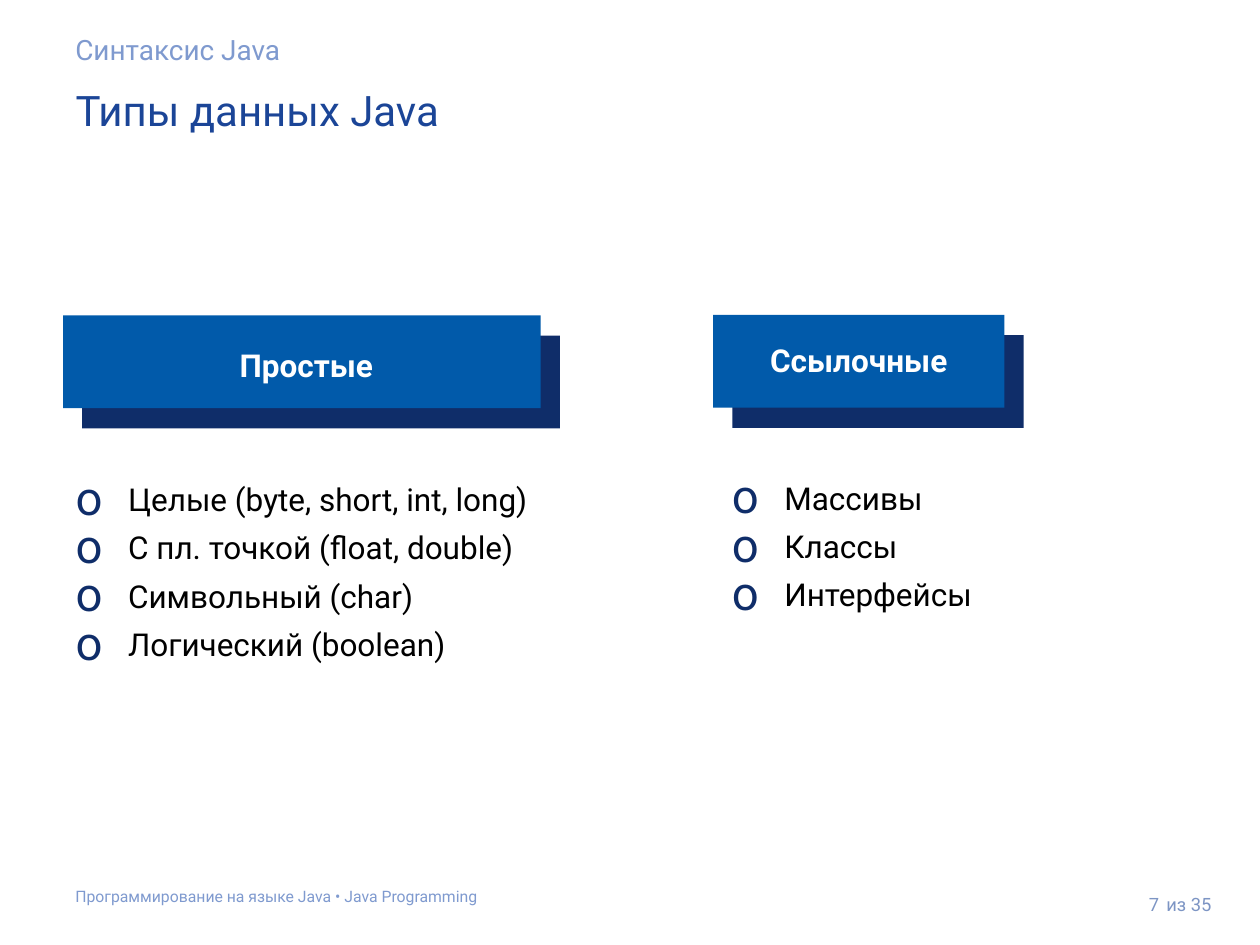
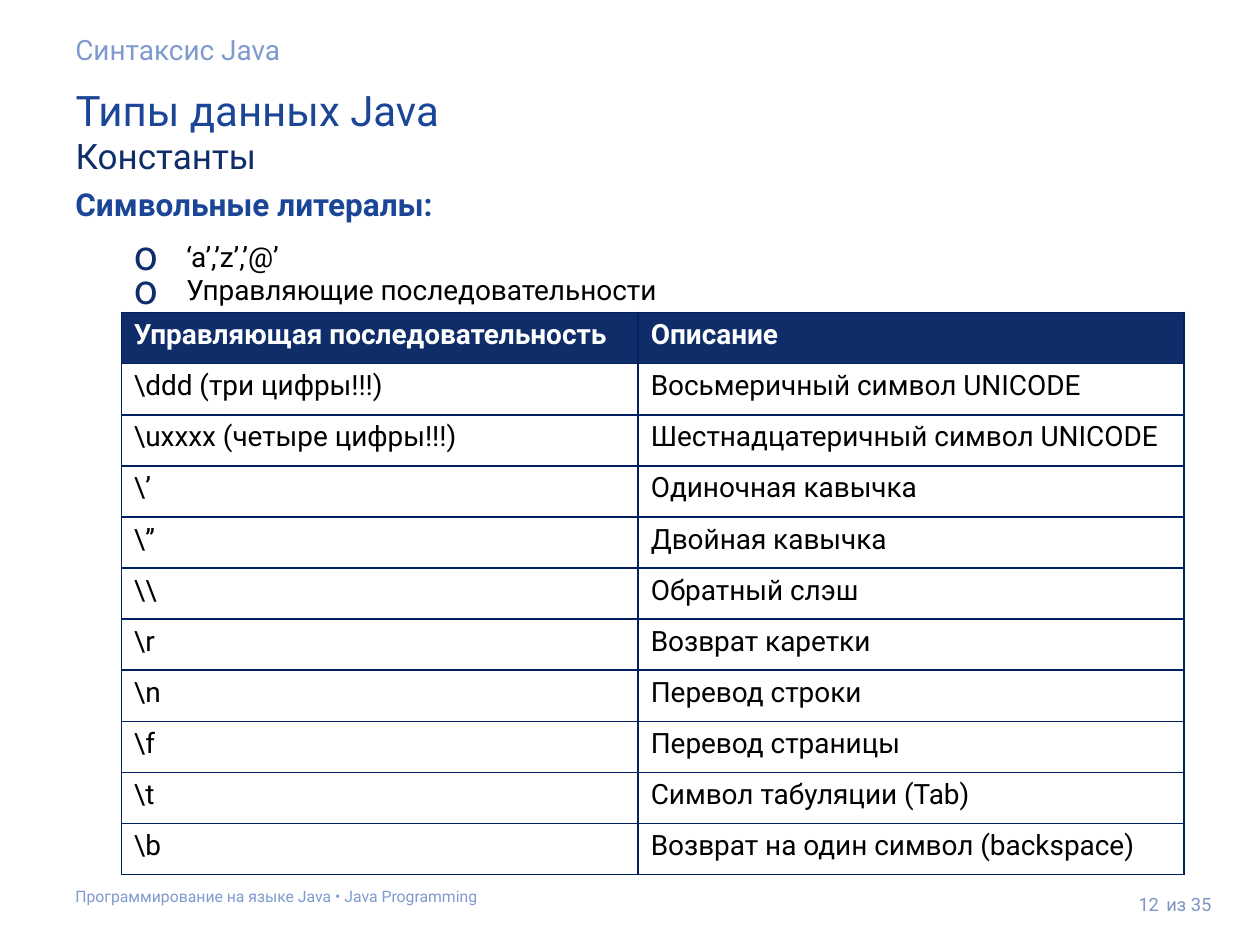
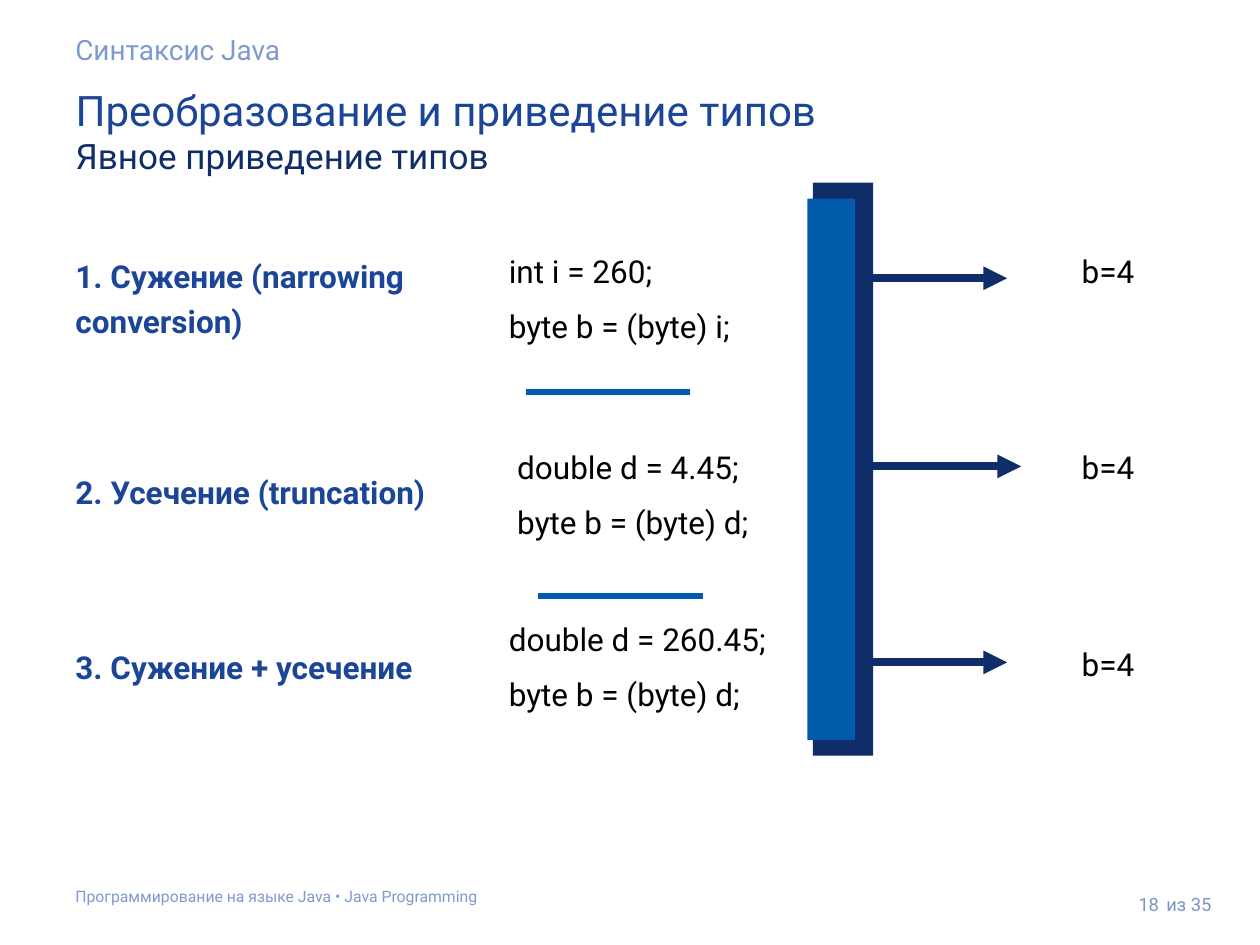
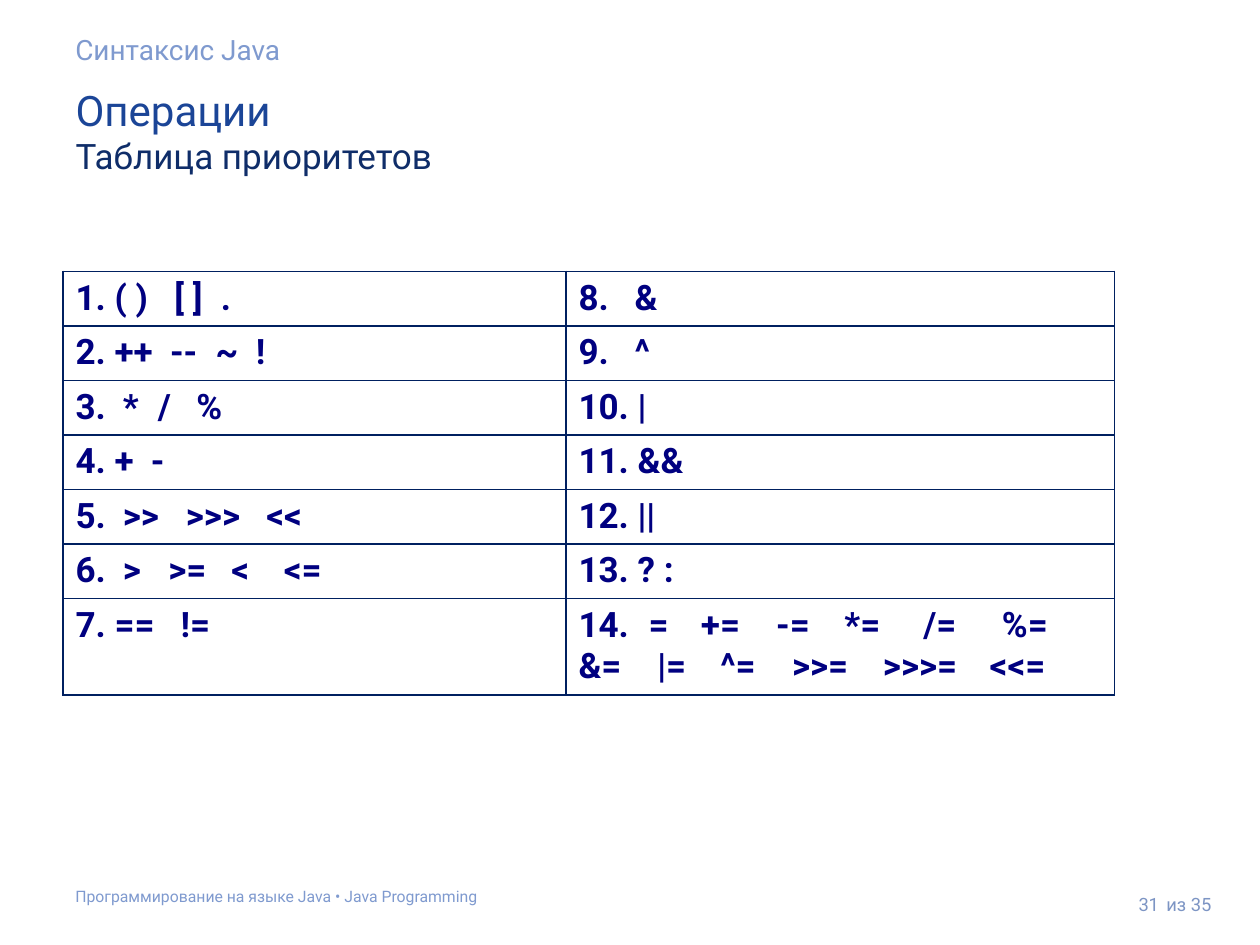
from lxml import etree
from pptx import Presentation
from pptx.dml.color import RGBColor
from pptx.enum import shapes, text
from pptx.oxml import ns
from pptx.util import Pt

FONT = "Roboto"
NAVY, BLUE, TITLE_BLUE = "0F2D69", "015AAA", "1B4597"
PALE, PAGE_GREY, BORDER = "7F9ACF", "7D95C4", "002060"
BLACK, WHITE, OPERATOR = "000000", "FFFFFF", "000080"
MARGIN = 36
TOTAL_SLIDES = 35
TITLE_ONLY, ONE_LIST, TWO_LISTS = 5, 1, 3
LEFT, CENTER, RIGHT = text.PP_ALIGN.LEFT, text.PP_ALIGN.CENTER, text.PP_ALIGN.RIGHT


def rgb(value):
    return RGBColor.from_string(value)


def child(parent, tag, **attributes):
    return etree.SubElement(parent, ns.qn(tag), attributes)


def assign(target, values):
    for name, value in values.items():
        setattr(target, name, value)


def place(item, box):
    assign(item, dict(zip(("left", "top", "width", "height"), map(Pt, box))))


def write(frame, lines, size, color, bold=False, **paragraph_format):
    """Append lines as paragraphs of one format and return them."""
    written = []
    for line in lines:
        paragraph = frame.add_paragraph() if frame.text else frame.paragraphs[0]
        assign(paragraph, {"alignment": LEFT, "space_before": Pt(0), **paragraph_format})
        run = paragraph.add_run()
        run.text = line
        assign(run.font, {"name": FONT, "size": Pt(size), "bold": bold})
        run.font.color.rgb = rgb(color)
        written.append(paragraph)
    return written


def set_frame(frame, inset=3.6, anchor=text.MSO_ANCHOR.TOP):
    assign(frame, {
        "word_wrap": True, "auto_size": text.MSO_AUTO_SIZE.NONE, "vertical_anchor": anchor,
        "margin_left": Pt(7.2), "margin_right": Pt(7.2),
        "margin_top": Pt(inset), "margin_bottom": Pt(inset),
    })


def add_text(slide, box, lines, size, color, inset=3.6, anchor=text.MSO_ANCHOR.TOP, **style):
    frame = slide.shapes.add_textbox(*map(Pt, box)).text_frame
    set_frame(frame, inset, anchor)
    write(frame, lines, size, color, **style)


def add_rect(slide, box, color):
    rect = slide.shapes.add_shape(shapes.MSO_SHAPE.RECTANGLE, *map(Pt, box))
    rect.shadow.inherit = False
    rect.fill.solid()
    rect.fill.fore_color.rgb = rgb(color)
    rect.line.fill.background()


def add_line(slide, left, top, length, color, width, arrow=False):
    line = slide.shapes.add_connector(
        shapes.MSO_CONNECTOR.STRAIGHT, Pt(left), Pt(top), Pt(left + length), Pt(top))
    line.line.color.rgb = rgb(color)
    line.line.width = Pt(width)
    if arrow:
        child(line.line._get_or_add_ln(), "a:tailEnd", type="triangle")
    child(line._element.spPr, "a:effectLst")


def fill_list(placeholder, box, items, size, gap=0):
    place(placeholder, box)
    frame = placeholder.text_frame
    set_frame(frame)
    for paragraph in write(frame, items, size, BLACK, space_after=Pt(gap)):
        props = paragraph._p.get_or_add_pPr()
        props.set("marL", str(Pt(30)))
        props.set("indent", str(Pt(-30)))
        child(child(props, "a:buClr"), "a:srgbClr", val=NAVY)
        child(props, "a:buSzPct", val="150000")
        child(props, "a:buFont", typeface=FONT)
        child(props, "a:buChar", char="o")


def add_table(slide, left, top, widths, heights):
    """Add a plain bordered table and return it."""
    table = slide.shapes.add_table(
        len(heights), len(widths), Pt(left), Pt(top), Pt(sum(widths)), Pt(sum(heights))).table
    assign(table, {"first_row": False, "horz_banding": False})
    for column, width in zip(table.columns, widths):
        column.width = Pt(width)
    for row, height in zip(table.rows, heights):
        row.height = Pt(height)
    for cell in table.iter_cells():
        props = cell._tc.get_or_add_tcPr()
        for side in ("a:lnL", "a:lnR", "a:lnT", "a:lnB"):
            border = child(props, side, w=str(Pt(1)))
            child(child(border, "a:solidFill"), "a:srgbClr", val=BORDER)
        cell.fill.background()
    return table


def start_slide(deck, layout, number, title, subtitle=None):
    """Add a slide with its headings, footer and page number."""
    slide = deck.slides.add_slide(deck.slide_layouts[layout])
    heading = slide.shapes.title
    place(heading, (MARGIN, 41, 662, 70))
    set_frame(heading.text_frame, inset=7.2)
    write(heading.text_frame, [title], 24, TITLE_BLUE)
    if subtitle:
        write(heading.text_frame, [subtitle], 20, NAVY)
    add_text(slide, (MARGIN, 11.5, 662, 34), ["Синтаксис Java"], 16, PALE, inset=7.2)
    add_text(slide, (MARGIN, 499.7, 648, 25),
             ["Программирование на языке Java • Java Programming"], 9, PALE, inset=7.2)
    middle = text.MSO_ANCHOR.MIDDLE
    add_text(slide, (659.5, 502, 50, 29), [f"из {TOTAL_SLIDES}"], 10.5, PAGE_GREY, anchor=middle)
    add_text(slide, (626.4, 496, 43, 41), [str(number)], 10.5, PAGE_GREY,
             inset=7.2, anchor=middle, alignment=RIGHT)
    return slide


def add_card(slide, box, label, label_dx, label_dy):
    left, top, width, height = box
    add_rect(slide, (left + 11, top + 11.5, width, height), NAVY)
    add_rect(slide, box, BLUE)
    add_text(slide, (left + label_dx, top + label_dy, width, 29), [label], 18, WHITE,
             bold=True, alignment=CENTER)


def data_types_slide(deck):
    slide = start_slide(deck, TWO_LISTS, 7, "Типы данных Java")
    add_card(slide, (MARGIN, 180.3, 273, 53), "Простые", 2.5, 14)
    add_card(slide, (407.5, 180, 166.5, 53), "Ссылочные", 0, 11.5)
    simple, reference = list(slide.placeholders)[1:]
    fill_list(simple, (MARGIN, 270.7, 273, 140),
              ["Целые (byte, short, int, long)", "С пл. точкой (float, double)",
               "Символьный (char)", "Логический (boolean)"], 18, gap=6)
    fill_list(reference, (411, 270, 199, 85), ["Массивы", "Классы", "Интерфейсы"], 18, gap=6)


def literals_slide(deck):
    slide = start_slide(deck, ONE_LIST, 12, "Типы данных Java", "Константы")
    add_text(slide, (MARGIN, 102.2, 324, 29), ["Символьные литералы:"], 18, TITLE_BLUE, bold=True)
    fill_list(slide.placeholders[1], (69.3, 133.2, 355, 46),
              ["‘a’,’z’,’@’", "Управляющие последовательности"], 16)
    escapes = [
        ("Управляющая последовательность", "Описание"),
        (r"\ddd (три цифры!!!)", "Восьмеричный символ UNICODE"),
        (r"\uxxxx (четыре цифры!!!)", "Шестнадцатеричный символ UNICODE"),
        (r"\’", "Одиночная кавычка"),
        (r"\’’", "Двойная кавычка"),
        (r"\\", "Обратный слэш"),
        (r"\r", "Возврат каретки"),
        (r"\n", "Перевод строки"),
        (r"\f", "Перевод страницы"),
        (r"\t", "Символ табуляции (Tab)"),
        (r"\b", "Возврат на один символ (backspace)"),
    ]
    table = add_table(slide, 69.3, 178.6, (295.4, 312), [29.2] * len(escapes))
    for row, entries in enumerate(escapes):
        header = row == 0
        for column, entry in enumerate(entries):
            cell = table.cell(row, column)
            write(cell.text_frame, [entry], 16, WHITE if header else BLACK, bold=header)
            if header:
                cell.fill.solid()
                cell.fill.fore_color.rgb = rgb(NAVY)


def add_conversion(slide, name, name_top, code, code_left, code_top, result_top, arrow):
    """Place one row: conversion name, code, arrow and result."""
    add_text(slide, (MARGIN, name_top, 229, 51), name, 18, TITLE_BLUE, bold=True,
             line_spacing=0.75, space_after=Pt(9.5))
    add_text(slide, (code_left, code_top, 166.5, 62), code, 18, BLACK, space_after=Pt(9.8))
    add_line(slide, *arrow, 86.5, NAVY, 4.5, arrow=True)
    add_text(slide, (611, result_top, 166.5, 29), ["b=4"], 18, BLACK)


def casting_slide(deck):
    slide = start_slide(deck, TITLE_ONLY, 18, "Преобразование и приведение типов",
                        "Явное приведение типов")
    add_rect(slide, (464.5, 104.3, 34.5, 327.5), NAVY)
    add_rect(slide, (461.3, 113.5, 27.3, 309.5), BLUE)
    add_conversion(slide, ["1. Сужение (narrowing", "conversion)"], 148.3,
                   ["int i = 260;", "byte b = (byte) i;"], 283.7, 140.4, 140.4, (489, 159))
    add_conversion(slide, ["2. Усечение (truncation)"], 271.5,
                   ["double d = 4.45;", "byte b = (byte) d;"], 288.5, 252.7, 252.7, (497, 266.5))
    add_conversion(slide, ["3. Сужение + усечение"], 371.5,
                   ["double d = 260.45;", "byte b = (byte) d;"], 283.7, 350.6, 365, (489, 378.5))
    for left, top in ((300.5, 224), (307.5, 340.5)):
        add_line(slide, left, top, 94, BLUE, 3)


def write_operators(cell, tokens, stops):
    """Write tokens on one line of a cell, spaced by tab stops."""
    paragraph, = write(cell.text_frame, ["\t".join(tokens)], 20, OPERATOR, bold=True)
    tabs = child(paragraph._p.get_or_add_pPr(), "a:tabLst")
    for stop in stops:
        child(tabs, "a:tab", pos=str(Pt(stop)), algn="l")


def priorities_slide(deck):
    slide = start_slide(deck, TITLE_ONLY, 31, "Операции", "Таблица приоритетов")
    # Each cell holds lines of (tokens, tab stops).
    columns = [
        [
            [(["1. ( )", "[ ]", "."], [56.5, 83])],
            [(["2. ++", "--", "~", "!"], [54, 80, 103])],
            [(["3.", "*", "/", "%"], [27, 47, 69])],
            [(["4. +", "-"], [43])],
            [(["5.", ">>", ">>>", "<<"], [27, 63, 109])],
            [(["6.", ">", ">=", "<", "<="], [27, 53, 89, 119])],
            [(["7. ==", "!="], [60])],
        ],
        [
            [(["8.", "&"], [32])],
            [(["9.", "^"], [32])],
            [(["10. |"], [])],
            [(["11. &&"], [])],
            [(["12. ||"], [])],
            [(["13. ? :"], [])],
            [(["14.", "=", "+=", "-=", "*=", "/=", "%="], [40, 70, 113, 152, 197, 242]),
             (["&=", "|=", "^=", ">>=", ">>>=", "<<="], [45, 81, 122, 174, 235])],
        ],
    ]
    table = add_table(slide, MARGIN, 155, (287.4, 313.4), [31.2] * 6 + [55])
    for column, cells in enumerate(columns):
        for row, lines in enumerate(cells):
            for tokens, stops in lines:
                write_operators(table.cell(row, column), tokens, stops)


def main():
    deck = Presentation()
    assign(deck, {"slide_width": Pt(720), "slide_height": Pt(540)})
    for build in (data_types_slide, literals_slide, casting_slide, priorities_slide):
        build(deck)
    deck.save("out.pptx")


if __name__ == "__main__":
    main()
